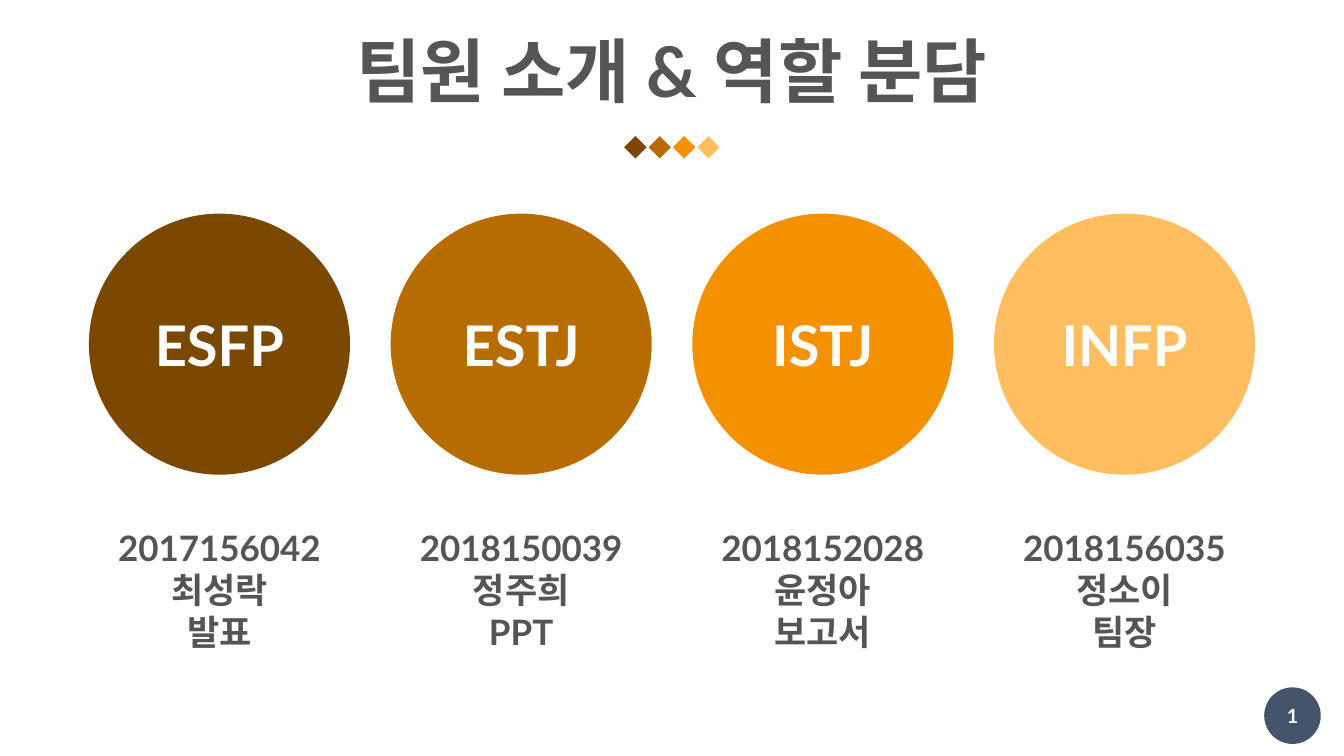
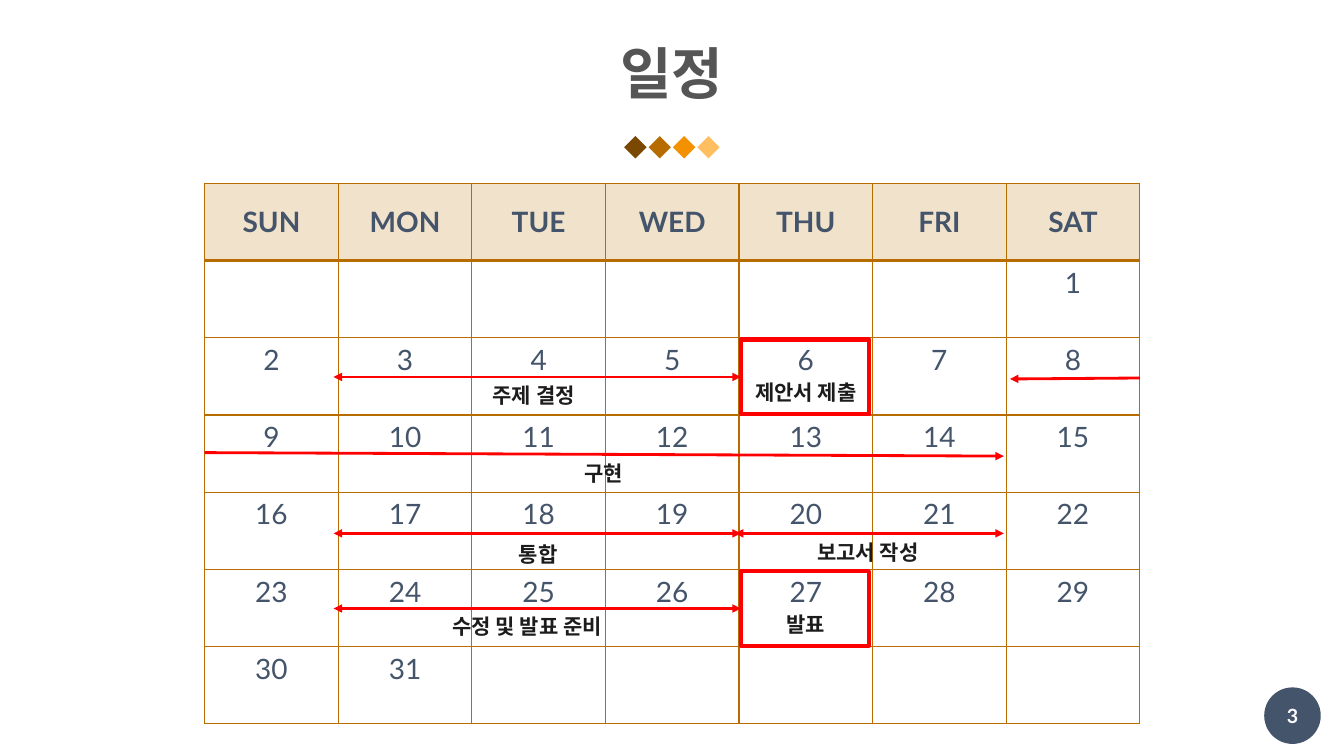
from lxml import etree
from pptx import Presentation
from pptx import util as u
from pptx.dml.color import RGBColor
from pptx.enum import shapes, text
from pptx.oxml import ns

Pt = u.Pt


class Theme:
    font = "Lato"
    browns = ("7A4800", "B76C00", "F49100", "FFBE5F")
    grid = "B76C00"
    header = "F1E2CC"
    slate = "44546A"
    grey = "555555"
    ink = "1C1C1C"
    white = "FFFFFF"
    page_number = "FCFCFC"
    red = "FF0000"
    type_size = {"wide_title": 50, "title": 40, "mbti": 40, "member": 25,
                 "day": 20, "task": 15, "page": 14}


def write(frame, lines, role, color, bold=True, align=text.PP_ALIGN.CENTER):
    """Append lines as paragraphs, filling the frame's empty first one."""
    style = {"name": Theme.font, "size": Pt(Theme.type_size[role]), "bold": bold}
    for line in lines:
        first = frame.paragraphs[0]
        paragraph = frame.add_paragraph() if first.runs else first
        paragraph.alignment = align
        run = paragraph.add_run()
        run.text = line
        for name, value in style.items():
            setattr(run.font, name, value)
        run.font.color.rgb = RGBColor.from_string(color)


def add_figure(slide, kind, left, top, width, height, fill=None):
    figure = slide.shapes.add_shape(kind, Pt(left), Pt(top), Pt(width), Pt(height))
    figure.shadow.inherit = False
    figure.line.fill.background()
    if fill:
        figure.fill.solid()
        figure.fill.fore_color.rgb = RGBColor.from_string(fill)
    else:
        figure.fill.background()
    return figure


SLIDE_WIDTH = 960
deck = Presentation()
deck.slide_width, deck.slide_height = Pt(SLIDE_WIDTH), Pt(540)

# Shared frame: title, diamonds, page number
pages = []
for heading, role, top, number in (
    ("팀원 소개 & 역할 분담", "wide_title", 21.6, "1"),
    ("일정", "title", 23, "3"),
):
    page = deck.slides.add_slide(deck.slide_layouts[5])
    title = page.shapes.title
    place = {"left": 141, "top": top, "width": 678, "height": 63.4}
    for name, value in place.items():
        setattr(title, name, Pt(value))
    title.text_frame.auto_size = text.MSO_AUTO_SIZE.NONE
    title.text_frame.vertical_anchor = text.MSO_ANCHOR.MIDDLE
    write(title.text_frame, [heading], role, Theme.grey)
    title.text_frame.paragraphs[0].line_spacing = 0.9

    diamond, diamond_step = 16, 17.4
    diamonds_left = (SLIDE_WIDTH - diamond - 3 * diamond_step) / 2
    for i, brown in enumerate(Theme.browns):
        add_figure(page, shapes.MSO_SHAPE.DIAMOND, diamonds_left + i * diamond_step,
                   97.2, diamond, diamond, brown)

    badge = add_figure(page, shapes.MSO_SHAPE.OVAL, 903, 491, 40.4, 40.4, Theme.slate)
    for side in ("left", "top", "right", "bottom"):
        setattr(badge.text_frame, "margin_" + side, 0)
    write(badge.text_frame, [number], "page", Theme.page_number)
    pages.append(page)
team, schedule = pages

# Team members
members = (
    ("ESFP", "2017156042", "최성락", "발표"),
    ("ESTJ", "2018150039", "정주희", "PPT"),
    ("ISTJ", "2018152028", "윤정아", "보고서"),
    ("INFP", "2018156035", "정소이", "팀장"),
)
circle, margin, label_width = 186.5, 63.5, 160
member_step = (SLIDE_WIDTH - 2 * margin - circle) / (len(members) - 1)
for i, (mbti, *details) in enumerate(members):
    left = margin + i * member_step
    disc = add_figure(team, shapes.MSO_SHAPE.OVAL, left, 152.6, circle, circle,
                      Theme.browns[i])
    write(disc.text_frame, [mbti], "mbti", Theme.white)
    label = team.shapes.add_textbox(Pt(left + (circle - label_width) / 2), Pt(372.2),
                                    Pt(label_width), Pt(98))
    label.text_frame.word_wrap = False
    label.text_frame.auto_size = text.MSO_AUTO_SIZE.SHAPE_TO_FIT_TEXT
    write(label.text_frame, details, "member", Theme.grey)

# Calendar
weekdays = ("SUN", "MON", "TUE", "WED", "THU", "FRI", "SAT")
deadlines = {6: "제안서 제출", 27: "발표"}
blank_days = 6
grid_left, grid_top, grid_width, grid_height = 146.2, 131, 668, 386
day_width, day_height = grid_width / 7, grid_height / 7
calendar = schedule.shapes.add_table(7, 7, Pt(grid_left), Pt(grid_top),
                                     Pt(grid_width), Pt(grid_height)).table
calendar.first_row = calendar.horz_banding = False
for row in range(7):
    calendar.rows[row].height = Pt(day_height)
    for col in range(7):
        calendar.columns[col].width = Pt(day_width)
        cell = calendar.cell(row, col)
        props = cell._tc.get_or_add_tcPr()
        heavy = {0: "lnB", 1: "lnT"}.get(row)
        for edge in ("lnL", "lnR", "lnT", "lnB"):
            border = etree.SubElement(props, ns.qn("a:" + edge),
                                      w=str(Pt(2 if edge == heavy else 1)))
            paint = etree.SubElement(border, ns.qn("a:solidFill"))
            etree.SubElement(paint, ns.qn("a:srgbClr"), val=Theme.grid)
        if row == 0:
            cell.fill.solid()
            cell.fill.fore_color.rgb = RGBColor.from_string(Theme.header)
            cell.vertical_anchor = text.MSO_ANCHOR.MIDDLE
            write(cell.text_frame, [weekdays[col]], "day", Theme.slate)
            continue
        cell.fill.background()
        day = (row - 1) * 7 + col + 1 - blank_days
        if 1 <= day <= 31:
            write(cell.text_frame, [str(day)], "day", Theme.slate, bold=False)
        if day in deadlines:
            write(cell.text_frame, [deadlines[day]], "task", Theme.ink)

# Deadline frames, set just inside their cells
frames = {}
inset = 1.3
for day in deadlines:
    row, col = divmod(day + blank_days - 1, 7)
    frame = add_figure(schedule, shapes.MSO_SHAPE.RECTANGLE,
                       grid_left + col * day_width + inset,
                       grid_top + (row + 1) * day_height + inset, 91.4, 53.3)
    frame.line.color.rgb = RGBColor.from_string(Theme.red)
    frame.line.width = Pt(3)
    frames[day] = frame

# Task spans: start, end, arrowheads, deadline the span leads to
MONDAY, THURSDAY, SATURDAY = 238.3, 529.2, 717.1
both, end_only = ("headEnd", "tailEnd"), ("tailEnd",)
spans = (
    ((MONDAY, 269.3), (THURSDAY, 269.3), both, 6),
    ((MONDAY, 434.6), (THURSDAY, 434.6), both, 27),
    ((grid_left + grid_width, 270), (721.4, 270.7), end_only, None),
    ((grid_left, 323.3), (SATURDAY, 325.8), end_only, None),
    ((MONDAY, 381), (THURSDAY, 381), both, None),
    ((524.9, 381), (SATURDAY, 381), both, None),
)
for start, end, heads, deadline in spans:
    span = schedule.shapes.add_connector(shapes.MSO_CONNECTOR.STRAIGHT,
                                         *(Pt(v) for v in start + end))
    if deadline:
        span.end_connect(frames[deadline], 1)
        span.begin_y = span.end_y
    span.line.color.rgb = RGBColor.from_string(Theme.red)
    span.line.width = Pt(2)
    outline = span._element.spPr.find(ns.qn("a:ln"))
    for head in heads:
        etree.SubElement(outline, ns.qn("a:" + head), type="triangle")
    etree.SubElement(span._element.spPr, ns.qn("a:effectLst"))

for task, left, top, width in (
    ("주제 결정", 344.9, 270, 93.6),
    ("수정 및 발표 준비", 316.1, 434.9, 136),
    ("구현", 410.4, 325.4, 46.8),
    ("통합", 363.6, 383, 46.8),
    ("보고서 작성", 576.7, 381.6, 93.6),
):
    caption = schedule.shapes.add_textbox(Pt(left), Pt(top), Pt(width), Pt(25.2))
    caption.text_frame.word_wrap = True
    caption.text_frame.auto_size = text.MSO_AUTO_SIZE.SHAPE_TO_FIT_TEXT
    write(caption.text_frame, [task], "task", Theme.ink, align=text.PP_ALIGN.LEFT)

deck.save("out.pptx")
